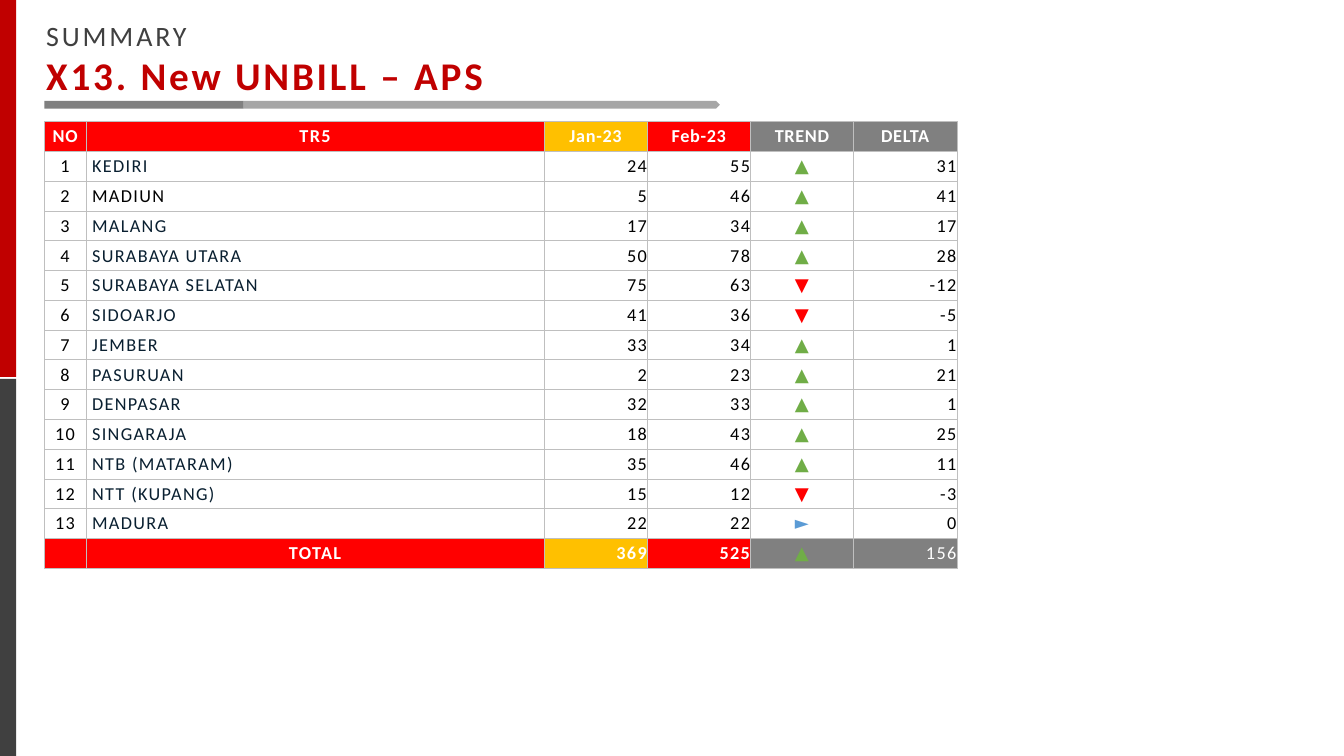
from dataclasses import dataclass

import lxml.etree
import pptx
import pptx.dml.color
import pptx.enum.shapes
import pptx.enum.text
import pptx.oxml
import pptx.oxml.ns
import pptx.util

Cm, Pt = pptx.util.Cm, pptx.util.Pt
SHAPE = pptx.enum.shapes.MSO_SHAPE
ALIGN = pptx.enum.text.PP_ALIGN
ANCHOR = pptx.enum.text.MSO_ANCHOR

FONT = "Calibri"
RED, AMBER, GREY, WHITE, BLACK, NAVY = (
    "FF0000", "FFC000", "808080", "FFFFFF", "000000", "091F30")
COL_WIDTHS = [1.06, 11.54, 2.6, 2.6, 2.6, 2.6]
COL_FILLS = [RED, RED, AMBER, RED, GREY, GREY]
ROW_HEIGHT = 0.75


@dataclass
class Bar:
    left: float
    top: float
    width: float
    height: float
    fill: str
    kind: SHAPE = SHAPE.RECTANGLE


@dataclass
class Region:
    name: str
    jan: int
    feb: int
    color: str = NAVY


@dataclass
class CellText:
    text: str
    align: ALIGN = ALIGN.CENTER
    color: str = BLACK
    bold: bool = False
    spacing: float = 1
    indent: float = 0


BARS = [
    Bar(0, 9.55, 0.41, 9.5, "404040"),
    Bar(0, 0, 0.41, 9.5, "C00000"),
    Bar(6.14, 2.54, 12, 0.2, "A6A6A6", SHAPE.PENTAGON),
    Bar(1.12, 2.54, 5.02, 0.2, GREY),
]
REGIONS = [
    Region("KEDIRI", 24, 55),
    Region("MADIUN", 5, 46, BLACK),
    Region("MALANG", 17, 34),
    Region("SURABAYA UTARA", 50, 78),
    Region("SURABAYA SELATAN", 75, 63),
    Region("SIDOARJO", 41, 36),
    Region("JEMBER", 33, 34),
    Region("PASURUAN", 2, 23),
    Region("DENPASAR", 32, 33),
    Region("SINGARAJA", 18, 43),
    Region("NTB (MATARAM)", 35, 46),
    Region("NTT (KUPANG)", 15, 12),
    Region("MADURA", 22, 22),
]


def rgb(color: str) -> pptx.dml.color.RGBColor:
    return pptx.dml.color.RGBColor.from_string(color)


def style_run(r, size: float, color: str, bold: bool, spacing: float) -> None:
    r.font.name, r.font.size, r.font.bold = FONT, Pt(size), bold
    r.font.color.rgb = rgb(color)
    r._r.get_or_add_rPr().set("spc", str(int(spacing * 100)))


def draw_bar(s, bar: Bar) -> None:
    sp = s.shapes.add_shape(bar.kind, Cm(bar.left), Cm(bar.top),
                            Cm(bar.width), Cm(bar.height))
    sp.shadow.inherit = False
    sp.fill.solid()
    sp.fill.fore_color.rgb = rgb(bar.fill)
    sp.line.fill.background()


def draw_title(s) -> None:
    sp = s.shapes.title
    sp.left, sp.top, sp.width, sp.height = Cm(0.91), Cm(0.33), Cm(11.73), Cm(2.31)
    tf = sp.text_frame
    tf.text = "SUMMARY\nX13. New UNBILL – APS"
    tf.word_wrap = False
    tf.auto_size = pptx.enum.text.MSO_AUTO_SIZE.NONE
    tf.vertical_anchor = ANCHOR.TOP
    looks = [(20, "404040", False), (28, "C00000", True)]
    for p, (size, color, bold) in zip(tf.paragraphs, looks):
        p.alignment = ALIGN.LEFT
        style_run(p.runs[0], size, color, bold, 2)


def add_borders(cell) -> None:
    tcPr = cell._tc.get_or_add_tcPr()
    for side in ("lnL", "lnR", "lnT", "lnB"):
        ln = lxml.etree.SubElement(tcPr, pptx.oxml.ns.qn(f"a:{side}"), w=str(Pt(0.75)))
        fill = lxml.etree.SubElement(ln, pptx.oxml.ns.qn("a:solidFill"))
        lxml.etree.SubElement(fill, pptx.oxml.ns.qn("a:srgbClr"), val="BFBFBF")


def draw_cell(cell, content: CellText, fill: str | None) -> None:
    add_borders(cell)
    if fill:
        cell.fill.solid()
        cell.fill.fore_color.rgb = rgb(fill)
    else:
        cell.fill.background()
    cell.vertical_anchor = ANCHOR.MIDDLE
    cell.margin_left = Cm(content.indent)
    cell.margin_right = Cm(0.02)
    cell.margin_top = cell.margin_bottom = 0
    p = cell.text_frame.paragraphs[0]
    p.text = content.text
    p.alignment = content.align
    for r in p.runs:
        style_run(r, 13, content.color, content.bold, content.spacing)
    if not p.runs:
        p._p.get_or_add_endParaRPr().set("sz", "1300")


def trend(delta: int) -> CellText:
    if delta > 0:
        return CellText("▲", color="70AD47")
    if delta < 0:
        return CellText("▼", color=RED)
    return CellText("►", color="5B9BD5")


def number(value: int, color: str = BLACK, bold: bool = False) -> CellText:
    return CellText(str(value), ALIGN.RIGHT, color, bold)


def table_rows() -> list[list[CellText]]:
    heads = ["NO", "TR5", "Jan-23", "Feb-23", "TREND", "DELTA"]
    rows = [[CellText(h, color=WHITE, bold=True, spacing=1 if h == "TR5" else 0.5)
             for h in heads]]
    for no, reg in enumerate(REGIONS, 1):
        delta = reg.feb - reg.jan
        rows.append([CellText(str(no)),
                     CellText(reg.name, ALIGN.LEFT, reg.color, indent=0.14),
                     number(reg.jan), number(reg.feb), trend(delta), number(delta)])
    jan = sum(reg.jan for reg in REGIONS)
    feb = sum(reg.feb for reg in REGIONS)
    rows.append([CellText(""), CellText("TOTAL", color=WHITE, bold=True),
                 number(jan, WHITE, True), number(feb, WHITE, True),
                 trend(feb - jan), number(feb - jan, WHITE)])
    return rows


def draw_table(s) -> None:
    rows = table_rows()
    table = s.shapes.add_table(len(rows), len(COL_WIDTHS), Cm(1.12), Cm(3.07),
                               Cm(sum(COL_WIDTHS)), Cm(ROW_HEIGHT * len(rows))).table
    table.first_row = table.horz_banding = False
    for col, width in zip(table.columns, COL_WIDTHS):
        col.width = Cm(width)
    for i, row in enumerate(rows):
        table.rows[i].height = Cm(ROW_HEIGHT)
        filled = i in (0, len(rows) - 1)
        for j, content in enumerate(row):
            draw_cell(table.cell(i, j), content, COL_FILLS[j] if filled else None)


def main() -> None:
    prs = pptx.Presentation()
    prs.slide_width, prs.slide_height = Cm(33.87), Cm(19.05)
    s = prs.slides.add_slide(prs.slide_layouts[5])
    # Side stripes and title underline
    for bar in BARS:
        draw_bar(s, bar)
    # Heading
    draw_title(s)
    # Monthly figures by region
    draw_table(s)
    prs.save("out.pptx")


if __name__ == "__main__":
    main()
